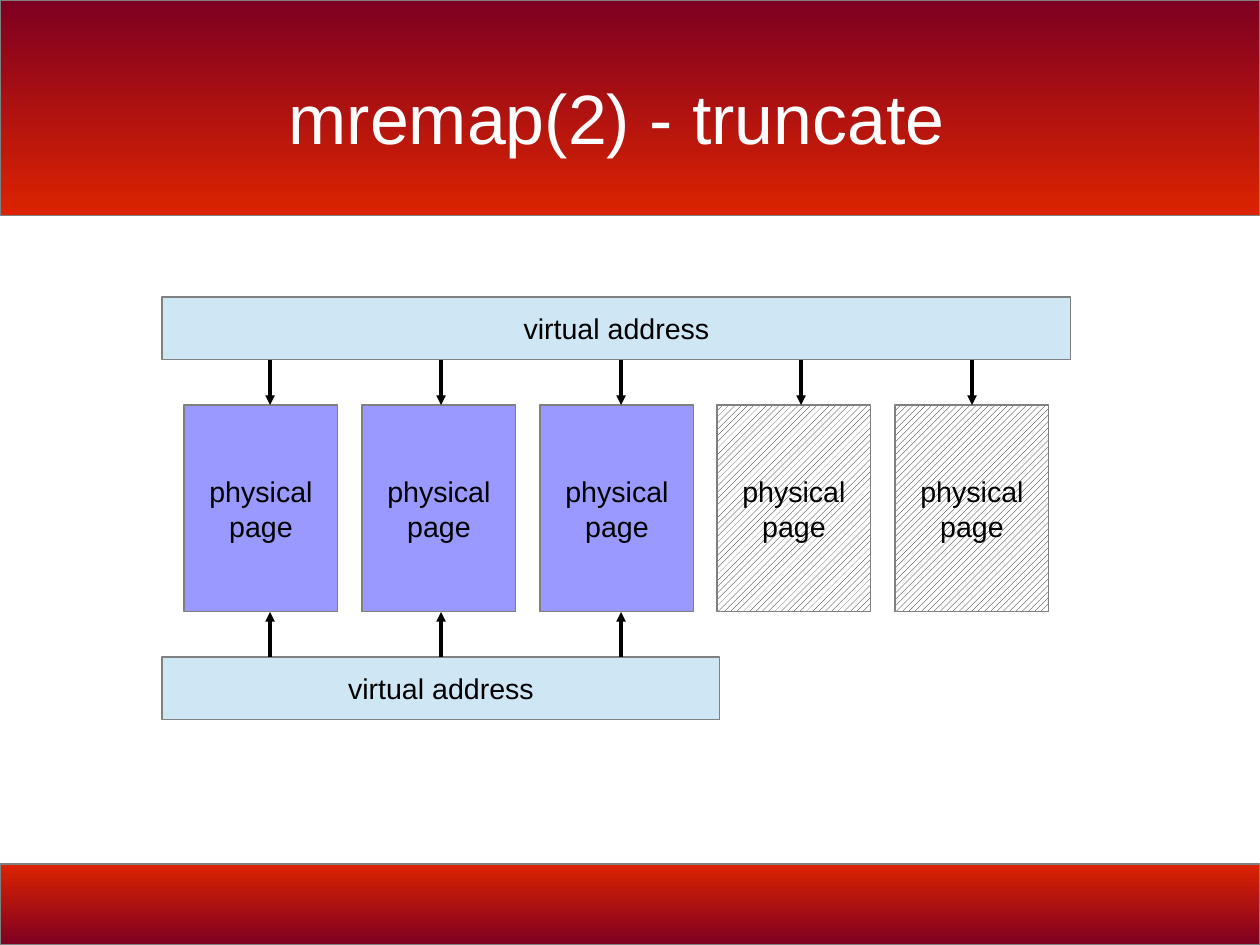
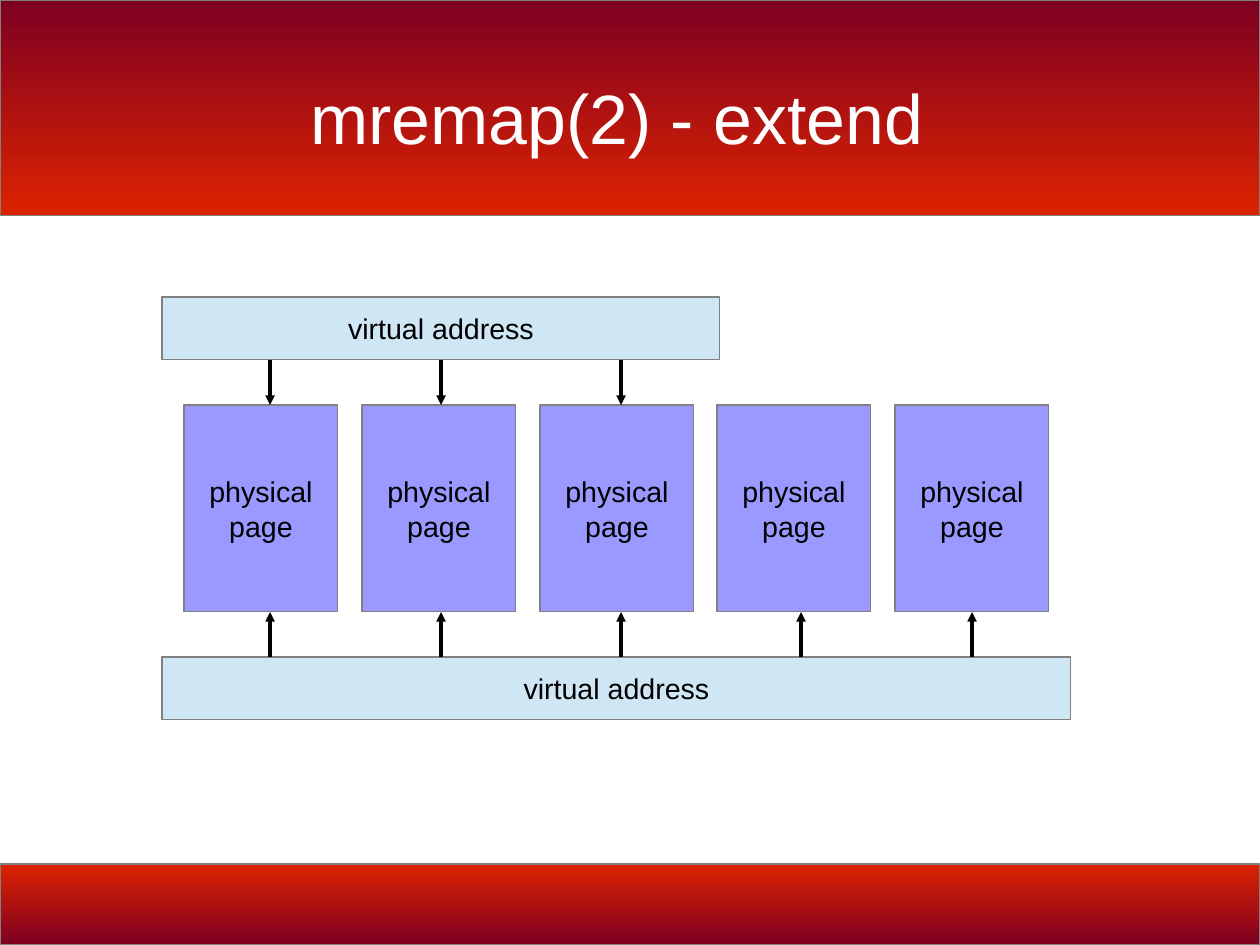
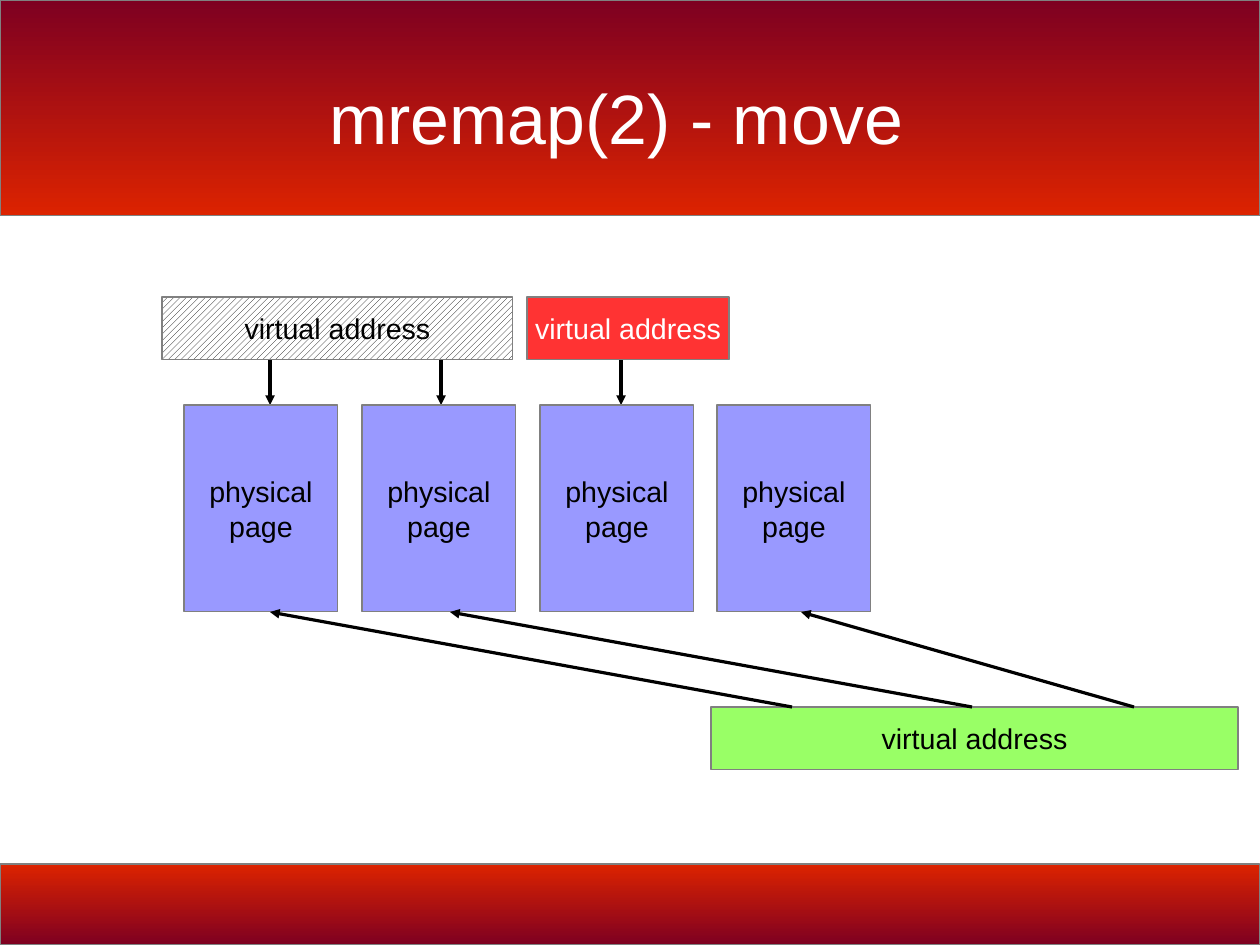
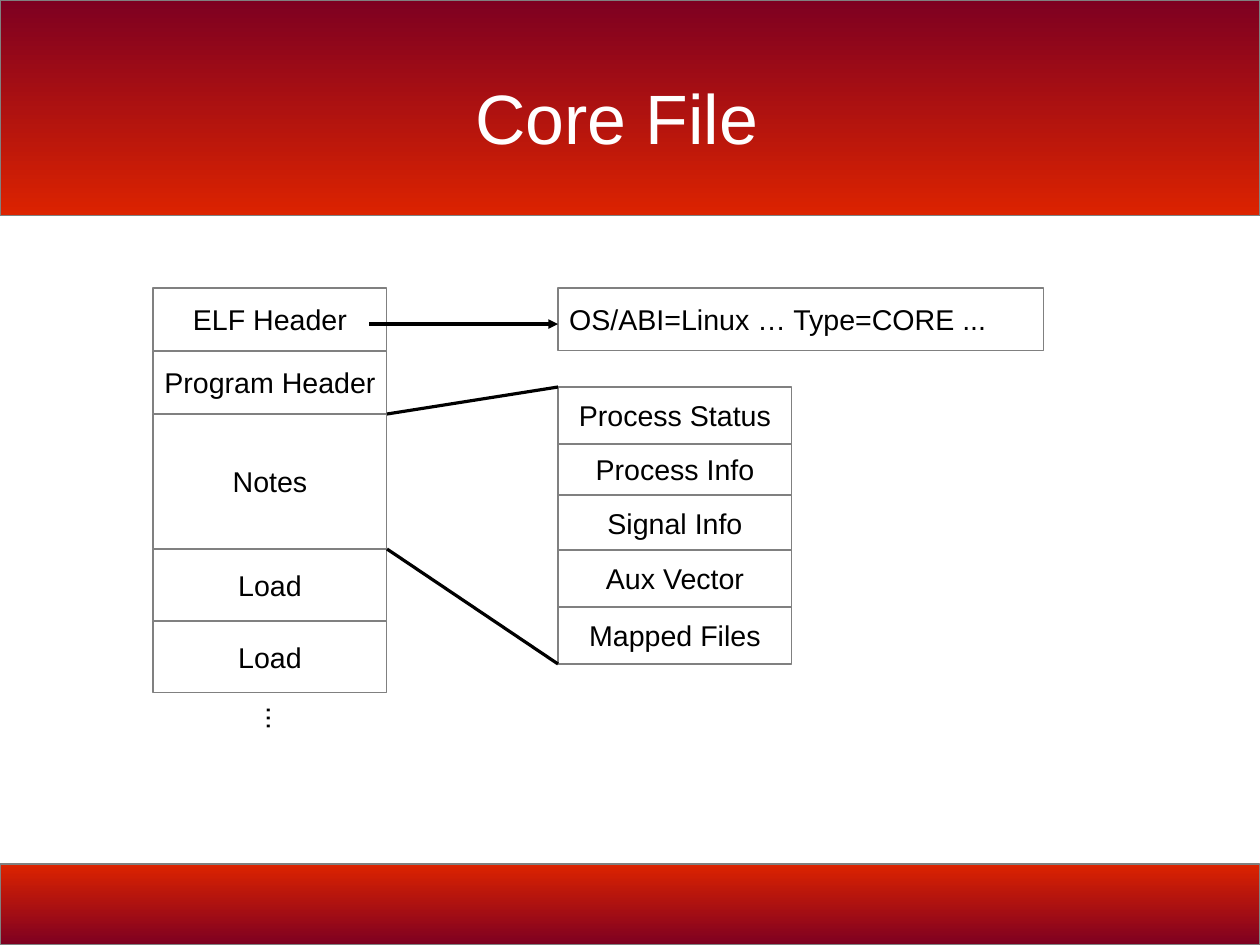
from pptx import Presentation
from pptx import util as u
from pptx.dml.color import RGBColor
from pptx.enum import dml, shapes, text
from pptx.oxml import ns, xmlchemy

PX = 8000
FONT = "Arial"
BLACK = RGBColor(0x00, 0x00, 0x00)
WHITE = RGBColor(0xFF, 0xFF, 0xFF)
GRAY = RGBColor(0x80, 0x80, 0x80)
MAROON = RGBColor(0x7E, 0x00, 0x21)
ORANGE = RGBColor(0xDC, 0x23, 0x00)
SKY = RGBColor(0xCF, 0xE7, 0xF5)
VIOLET = RGBColor(0x99, 0x99, 0xFF)
RED = RGBColor(0xFF, 0x33, 0x33)
GREEN = RGBColor(0x99, 0xFF, 0x66)
HATCH = "hatch"

WIDTH, HEIGHT = 1260, 945
LEFT, BAR_H = 162, 63
TOP_BAR, BOTTOM_BAR = 297, 657
PAGE_TOP, PAGE_H = 405, 207
PAGE_BOTTOM = PAGE_TOP + PAGE_H
ARROWS = [270, 441, 621, 801, 972]
LONG, SHORT = 909, 558


def px(*values):
    return [u.Emu(v * PX) for v in values]


class Deck:
    def __init__(self):
        self.prs = Presentation()
        self.prs.slide_width, self.prs.slide_height = px(WIDTH, HEIGHT)
        self.s = None

    def slide(self, title):
        self.s = self.prs.slides.add_slide(self.prs.slide_layouts[6])
        self.band(864, 81, ORANGE, MAROON)
        self.band(0, 216, MAROON, ORANGE)
        sp = self.s.shapes.add_textbox(*px(63, 38, 1108, 158))
        tf = self.label(sp, title, 44, WHITE)
        tf.word_wrap = True
        tf.margin_left = tf.margin_right = tf.margin_top = tf.margin_bottom = 0

    def rect(self, x, y, w, h):
        sp = self.s.shapes.add_shape(shapes.MSO_SHAPE.RECTANGLE, *px(x, y, w, h))
        sp.shadow.inherit = False
        sp.line.color.rgb = GRAY
        sp.line.width = 0
        return sp

    def band(self, y, h, top, bottom):
        fill = self.rect(0, y, WIDTH, h).fill
        fill.gradient()
        fill.gradient_angle = 270
        for stop, color in zip(fill.gradient_stops, (top, bottom)):
            stop.color.rgb = color

    def label(self, sp, words, size=18, color=BLACK, align=text.PP_ALIGN.CENTER):
        tf = sp.text_frame
        tf.text = words
        tf.word_wrap = False
        tf.vertical_anchor = text.MSO_ANCHOR.MIDDLE
        for p in tf.paragraphs:
            p.alignment = align
            p.font.name = FONT
            p.font.size = u.Pt(size)
            p.font.color.rgb = color
        return tf

    def box(self, words, x, y, w, h, fill=WHITE, color=BLACK,
            align=text.PP_ALIGN.CENTER):
        sp = self.rect(x, y, w, h)
        if fill == HATCH:
            sp.fill.patterned()
            sp.fill.pattern = dml.MSO_PATTERN.WIDE_UPWARD_DIAGONAL
            sp.fill.fore_color.rgb = BLACK
            sp.fill.back_color.rgb = WHITE
        else:
            sp.fill.solid()
            sp.fill.fore_color.rgb = fill
        self.label(sp, words, color=color, align=align)

    def address(self, x, y, w, fill=SKY, color=BLACK):
        self.box("virtual address", x, y, w, BAR_H, fill, color)

    def pages(self, *fills):
        for i, fill in enumerate(fills):
            self.box("physical\npage", 184 + round(i * 177.75), PAGE_TOP,
                     154, PAGE_H, fill)

    def line(self, x1, y1, x2, y2, arrow=True):
        c = self.s.shapes.add_connector(shapes.MSO_CONNECTOR.STRAIGHT,
                                        *px(x1, y1, x2, y2))
        c.line.color.rgb = BLACK
        c.line.width = 0
        spPr = c._element.spPr
        if arrow:
            tail = xmlchemy.OxmlElement("a:tailEnd")
            tail.set("type", "triangle")
            spPr.find(ns.qn("a:ln")).append(tail)
        spPr.append(xmlchemy.OxmlElement("a:effectLst"))

    def arrows_down(self, count):
        for x in ARROWS[:count]:
            self.line(x, TOP_BAR + BAR_H, x, PAGE_TOP)

    def arrows_up(self, count):
        for x in ARROWS[:count]:
            self.line(x, BOTTOM_BAR, x, PAGE_BOTTOM)

    def vertical_dots(self, x, y, w, h):
        sp = self.s.shapes.add_textbox(*px(x, y, w, h))
        sp.rotation = 90
        tf = self.label(sp, "...", align=text.PP_ALIGN.LEFT)
        tf.vertical_anchor = text.MSO_ANCHOR.TOP
        tf.auto_size = text.MSO_AUTO_SIZE.SHAPE_TO_FIT_TEXT


def remap(deck, title, fills, top, bottom):
    deck.slide(title)
    deck.pages(*fills)
    deck.address(LEFT, TOP_BAR, top[0])
    deck.arrows_down(top[1])
    deck.address(LEFT, BOTTOM_BAR, bottom[0])
    deck.arrows_up(bottom[1])


def move(deck):
    deck.slide("mremap(2) - move")
    deck.address(LEFT, TOP_BAR, 351, HATCH)
    deck.address(527, TOP_BAR, 202, RED, WHITE)
    deck.arrows_down(3)
    deck.pages(*[VIOLET] * 4)
    target = 707
    deck.address(711, target, 527, GREEN)
    for start, end in ((792, 270), (972, 450), (1134, 801)):
        deck.line(start, target, end, PAGE_BOTTOM)


def core_file(deck):
    deck.slide("Core File")
    left, right, top, width = 153, 558, 288, 234
    edge = left + width
    y = top
    for words, h in (("ELF Header", 63), ("Program Header", 63), ("Notes", 135),
                     ("Load", 72), ("Load", 72)):
        deck.box(words, left, y, width, h)
        y += h
    deck.vertical_dots(256, 697, 47, 43)
    for words, y in (("Process Info", 441), ("Signal Info", 495),
                     ("Aux Vector", 550), ("Mapped Files", 607),
                     ("Process Status", 387)):
        deck.box(words, right, y, width, 57)
    deck.line(edge, 414, right, 387, arrow=False)
    deck.line(edge, 549, right, 664, arrow=False)
    deck.box("OS/ABI=Linux … Type=CORE ...", right, top, 486, BAR_H,
             align=text.PP_ALIGN.LEFT)
    deck.line(369, 324, right, 324)


def main():
    deck = Deck()
    remap(deck, "mremap(2) - truncate", [VIOLET] * 3 + [HATCH] * 2,
          (LONG, 5), (SHORT, 3))
    remap(deck, "mremap(2) - extend", [VIOLET] * 5, (SHORT, 3), (LONG, 5))
    move(deck)
    core_file(deck)
    deck.prs.save("out.pptx")


if __name__ == "__main__":
    main()
